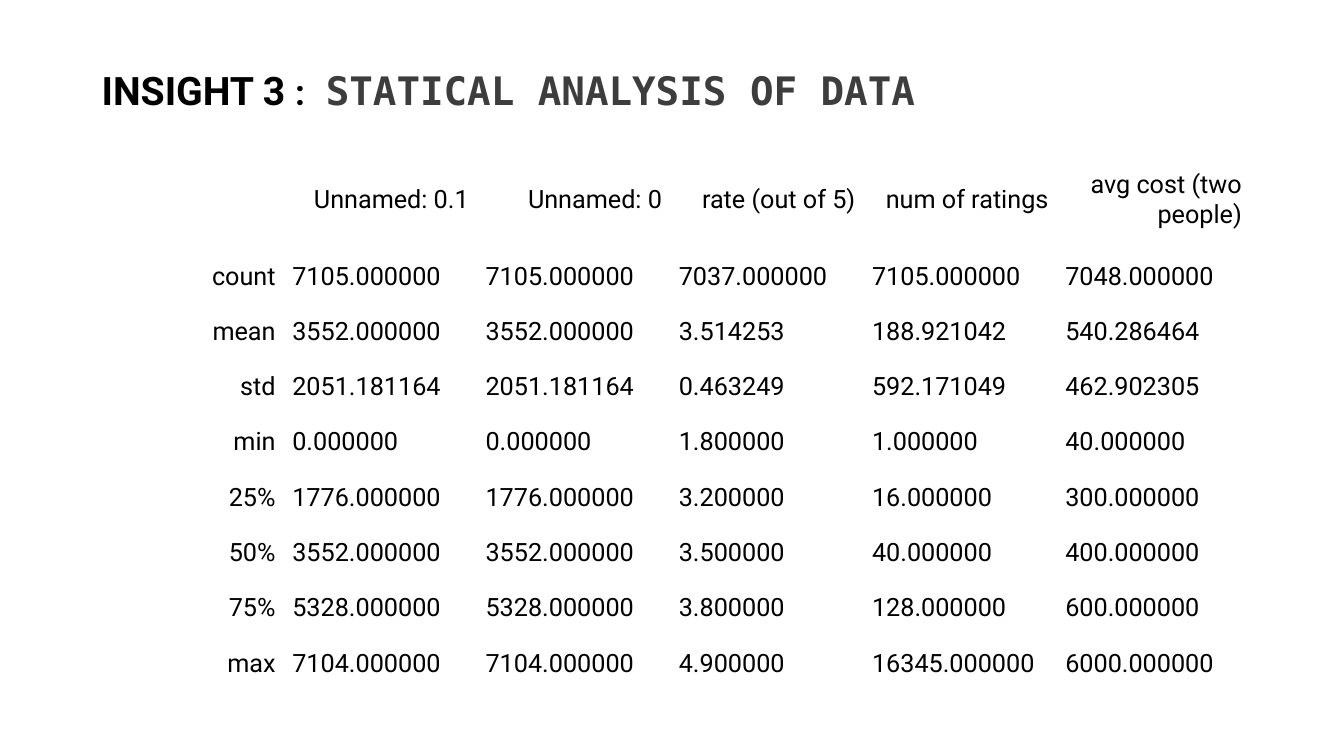
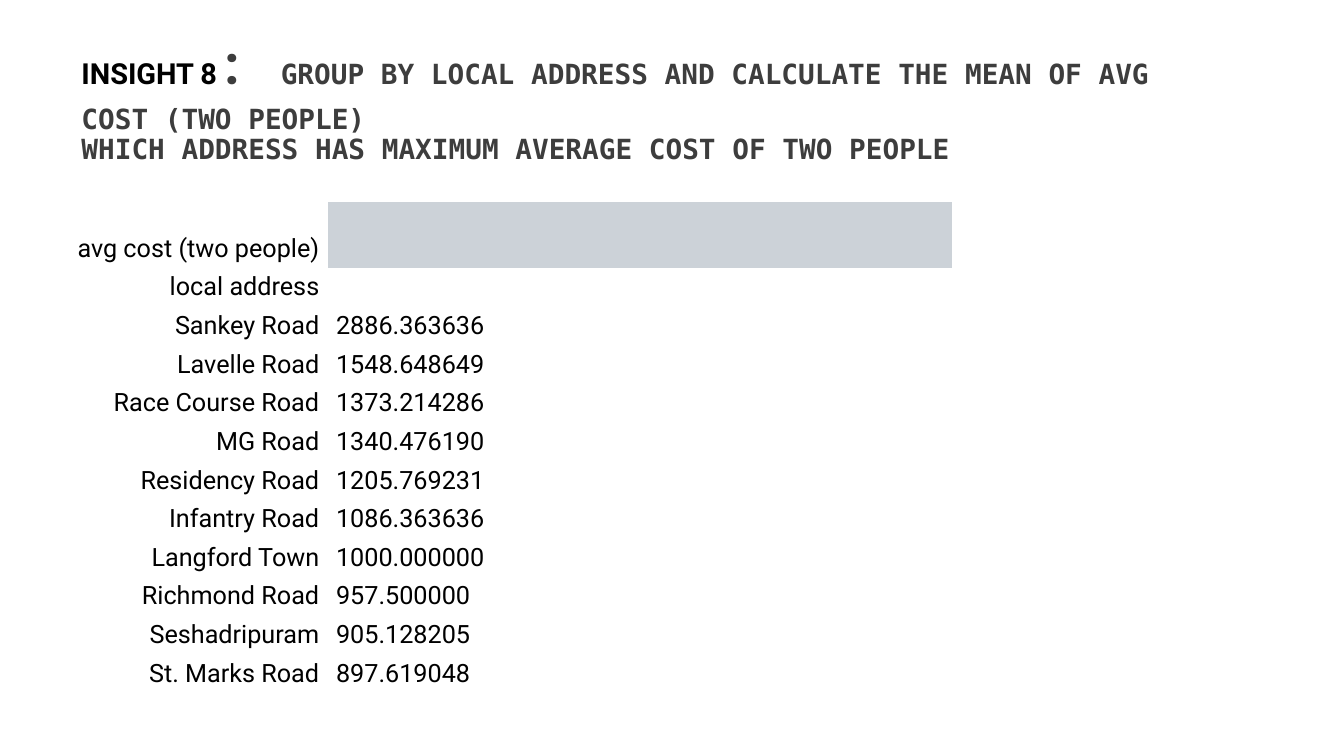
from collections import namedtuple
from dataclasses import dataclass

from pptx import Presentation
from pptx.dml.color import RGBColor
from pptx.enum.text import MSO_ANCHOR as Anchor, PP_ALIGN as Align
from pptx.util import Inches, Pt

Box = namedtuple("Box", "left top width height")
Part = namedtuple("Part", "text size font color bold", defaults=(True,))


@dataclass(frozen=True)
class Theme:
    sans: str = "Roboto"
    mono: str = "DejaVu Sans Mono"
    ink: RGBColor = RGBColor(0x00, 0x00, 0x00)
    heading: RGBColor = RGBColor(0x3D, 0x3D, 0x3D)
    band: RGBColor = RGBColor(0xCC, 0xD2, 0xD8)
    body_size: float = 18
    title_spacing: float = 0.9
    pad_x: int = Pt(6)
    pad_y: int = Pt(3)


THEME = Theme()
SLIDE_WIDTH, SLIDE_HEIGHT = 13.33, 7.5

STATS = [
    ("", "Unnamed: 0.1", "Unnamed: 0", "rate (out of 5)", "num of ratings", "avg cost (two people)"),
    ("count", "7105.000000", "7105.000000", "7037.000000", "7105.000000", "7048.000000"),
    ("mean", "3552.000000", "3552.000000", "3.514253", "188.921042", "540.286464"),
    ("std", "2051.181164", "2051.181164", "0.463249", "592.171049", "462.902305"),
    ("min", "0.000000", "0.000000", "1.800000", "1.000000", "40.000000"),
    ("25%", "1776.000000", "1776.000000", "3.200000", "16.000000", "300.000000"),
    ("50%", "3552.000000", "3552.000000", "3.500000", "40.000000", "400.000000"),
    ("75%", "5328.000000", "5328.000000", "3.800000", "128.000000", "600.000000"),
    ("max", "7104.000000", "7104.000000", "4.900000", "16345.000000", "6000.000000"),
]

ADDRESS_COSTS = [
    ("avg cost (two people)", ""),
    ("local address", ""),
    ("Sankey Road", "2886.363636"),
    ("Lavelle Road", "1548.648649"),
    ("Race Course Road", "1373.214286"),
    ("MG Road", "1340.476190"),
    ("Residency Road", "1205.769231"),
    ("Infantry Road", "1086.363636"),
    ("Langford Town", "1000.000000"),
    ("Richmond Road", "957.500000"),
    ("Seshadripuram", "905.128205"),
    ("St. Marks Road", "897.619048"),
]


def add_part(paragraph, part):
    """Add one styled run; each further line of its text follows a line break."""
    for number, line in enumerate(part.text.split("\n")):
        if number:
            paragraph.add_line_break()
        run = paragraph.add_run()
        run.text = line
        run.font.size = Pt(part.size)
        run.font.name = part.font
        run.font.bold = part.bold
        run.font.color.rgb = part.color


def add_title(slide, box, parts, bottom_inset=0.05):
    frame = slide.shapes.add_textbox(*map(Inches, box)).text_frame
    frame.word_wrap = True
    frame.vertical_anchor = Anchor.MIDDLE
    frame.margin_bottom = Inches(bottom_inset)
    paragraph = frame.paragraphs[0]
    paragraph.line_spacing = THEME.title_spacing
    for part in parts:
        add_part(paragraph, part)


def fill_cell(cell, text, align, anchor=Anchor.MIDDLE):
    cell.fill.background()
    cell.margin_left = cell.margin_right = THEME.pad_x
    cell.margin_top = cell.margin_bottom = THEME.pad_y
    cell.vertical_anchor = anchor
    paragraph = cell.text_frame.paragraphs[0]
    paragraph.alignment = align
    add_part(paragraph, Part(text, THEME.body_size, THEME.sans, THEME.ink, False))


def add_data_table(slide, box, rows, column_shares, header_height, header_anchor=Anchor.MIDDLE):
    """Header row of its own height, then equal rows; labels right, values left."""
    table = slide.shapes.add_table(len(rows), len(rows[0]), *map(Inches, box)).table
    table.first_row = table.horz_banding = False
    for column, share in zip(table.columns, column_shares):
        column.width = Inches(box.width * share / sum(column_shares))
    row_height = (box.height - header_height) / (len(rows) - 1)
    for r, values in enumerate(rows):
        table.rows[r].height = Inches(row_height if r else header_height)
        for c, text in enumerate(values):
            is_label = r == 0 or c == 0
            fill_cell(table.cell(r, c), text,
                      Align.RIGHT if is_label else Align.LEFT,
                      Anchor.MIDDLE if r else header_anchor)
    return table


def build_statistics(slide):
    add_title(slide, Box(0.91, 0.05, 11.5, 1.45), [
        Part("INSIGHT 3\u00a0".replace("\u00a0", " "), 28, THEME.sans, THEME.ink),
        Part(":", 25, THEME.sans, THEME.ink),
        Part(" ", 60, THEME.sans, THEME.ink),
        Part("STATICAL ANALYSIS OF DATA", 28, THEME.mono, THEME.heading),
    ])
    add_data_table(slide, Box(0.9, 1.5, 11.5, 5.36), STATS, [1] * len(STATS[0]), 0.97)


def build_address_costs(slide):
    add_title(slide, Box(0.71, 0.24, 11.5, 1.45), [
        Part("INSIGHT 8 ", 20.7, THEME.sans, THEME.ink),
        Part(":", 39.6, THEME.sans, THEME.heading),
        Part(" ", 69.3, THEME.sans, THEME.heading),
        Part(" ", 19.8, THEME.mono, THEME.heading, False),
        Part("GROUP BY LOCAL ADDRESS AND CALCULATE THE MEAN OF AVG COST (TWO PEOPLE)\n"
             "WHICH ADDRESS HAS MAXIMUM AVERAGE COST OF TWO PEOPLE",
             19.8, THEME.mono, THEME.heading),
    ], bottom_inset=0.34)
    table = add_data_table(slide, Box(-2.05, 2, 11.5, 4.8), ADDRESS_COSTS, [5.3, 6.2],
                           0.66, Anchor.BOTTOM)
    header_band = table.cell(0, 1).fill
    header_band.solid()
    header_band.fore_color.rgb = THEME.band


def main():
    deck = Presentation()
    deck.slide_width, deck.slide_height = Inches(SLIDE_WIDTH), Inches(SLIDE_HEIGHT)
    blank = deck.slide_layouts[6]
    for build in (build_statistics, build_address_costs):
        build(deck.slides.add_slide(blank))
    deck.save("out.pptx")


if __name__ == "__main__":
    main()
